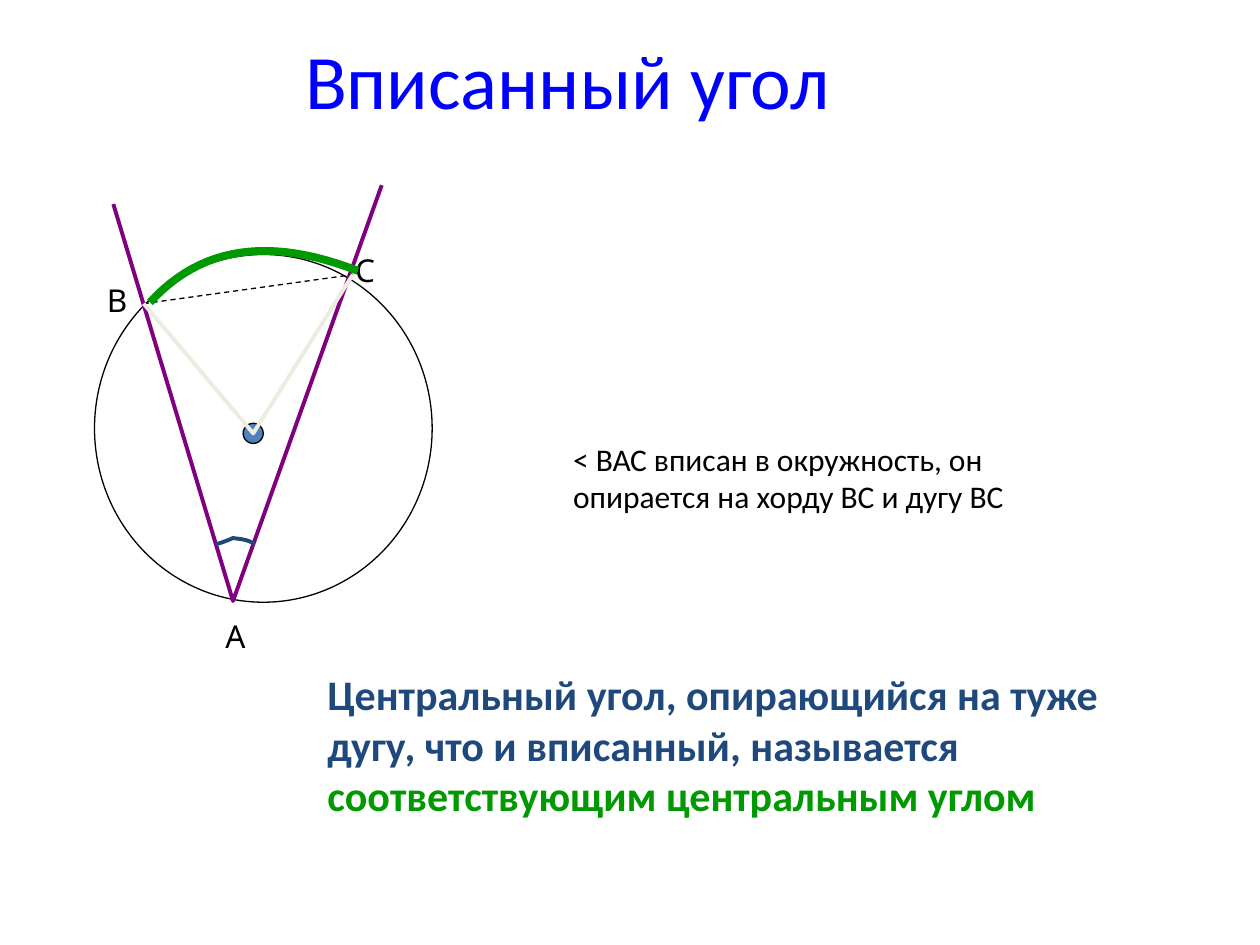
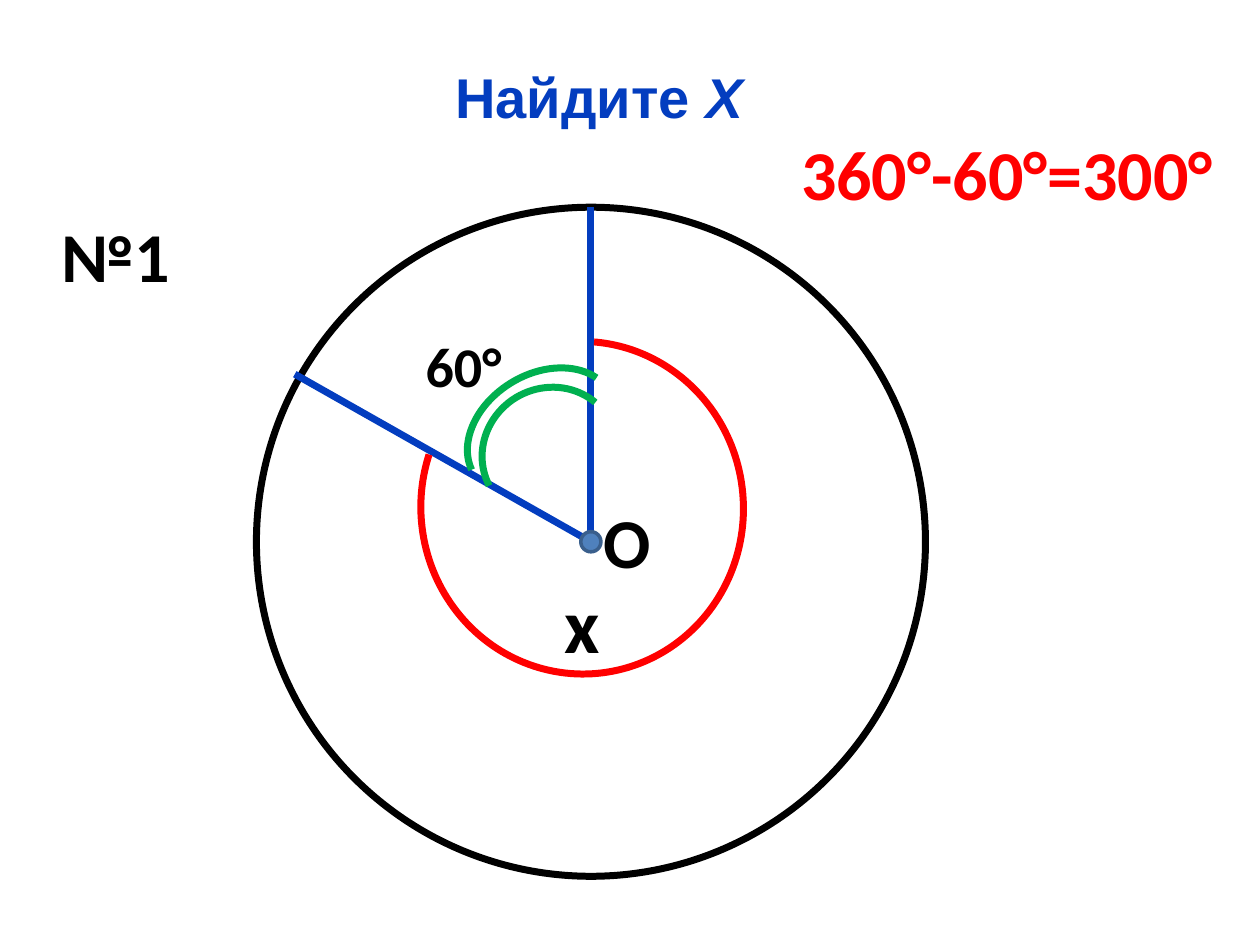
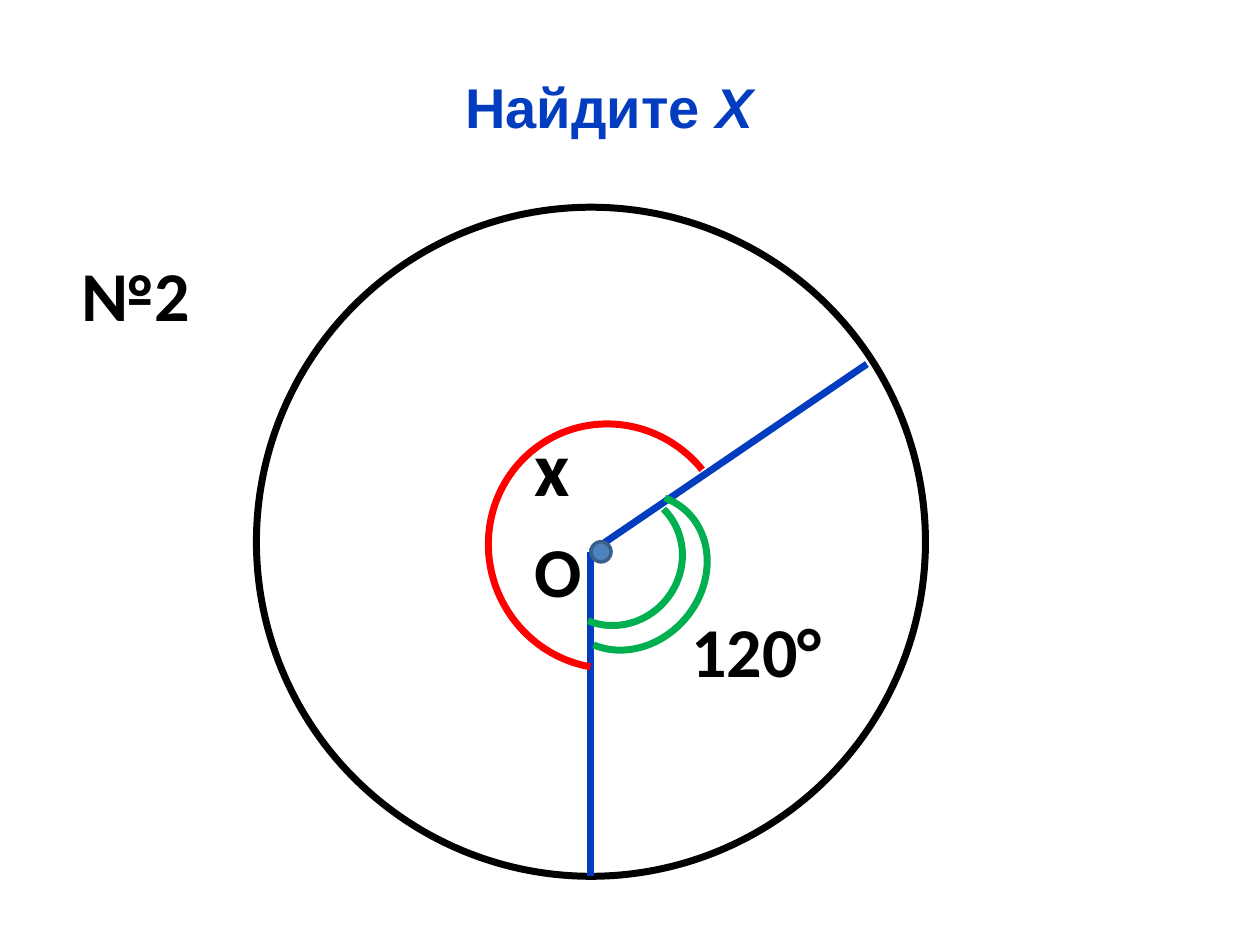
from lxml import etree
from pptx import Presentation
from pptx.dml.color import RGBColor
from pptx.enum.dml import MSO_LINE
from pptx.enum.shapes import MSO_CONNECTOR, MSO_SHAPE
from pptx.enum.text import MSO_ANCHOR, PP_ALIGN
from pptx.oxml.ns import qn
from pptx.util import Inches, Pt

OVAL, ARC = MSO_SHAPE.OVAL, MSO_SHAPE.ARC
STRAIGHT, DASH = MSO_CONNECTOR.STRAIGHT, MSO_LINE.DASH
MIDDLE, TOP = MSO_ANCHOR.MIDDLE, MSO_ANCHOR.TOP
CENTER, LEFT = PP_ALIGN.CENTER, PP_ALIGN.LEFT

# The slide is a grid of 100 columns by 75 rows of square cells.
COLS, ROWS, CELL = 100, 75, 0.1
BLACK, WHITE, RED, BLUE = "000000", "FFFFFF", "FF0000", "033DBF"
GREEN, LEAF, NAVY, STEEL = "00B050", "009900", "1F497D", "4F81BD"
EDGE, CREAM, PURPLE, TITLE = "3A5F8C", "EEECE1", "800080", "0000FF"
BODY, HEAD, HAND = "Calibri", "Arial", "Comic Neue"
THICK, MID, THIN = 4, 2.25, 0.75
DOT = 1.6


def rgb(code):
    return RGBColor.from_string(code)


def cells(*counts):
    return [Inches(count * CELL) for count in counts]


def shift(base, point):
    """Move a point given relative to base onto the slide's grid."""
    return base[0] + point[0], base[1] + point[1]


def stroke(item, color, width):
    item.line.color.rgb = rgb(color)
    item.line.width = Pt(width)


def shape(slide, kind, box, color, width, fill=None):
    item = slide.shapes.add_shape(kind, *cells(*box))
    item.shadow.inherit = False
    if fill:
        item.fill.solid()
        item.fill.fore_color.rgb = rgb(fill)
    else:
        item.fill.background()
    stroke(item, color, width)
    return item


def arc(slide, box, turn, start, end, color):
    """Draw an arc clockwise between two angles, then turn its box."""
    item = shape(slide, ARC, box, color, THICK)
    item.rotation = turn
    for i, angle in enumerate((start, end)):
        item.adjustments[i] = angle * 0.6


def line(slide, start, end, color, width):
    item = slide.shapes.add_connector(STRAIGHT, *cells(*start, *end))
    stroke(item, color, width)
    etree.SubElement(item._element.spPr, qn("a:effectLst"))
    return item


def trace(slide, base, points, color, width):
    """Draw an open outline through points relative to base."""
    spots = [cells(*shift(base, point)) for point in points]
    pen = slide.shapes.build_freeform(*spots[0])
    pen.add_line_segments(spots[1:], close=False)
    item = pen.convert_to_shape()
    item.shadow.inherit = False
    item.fill.background()
    stroke(item, color, width)


def curve(a, b, c, d, steps=24):
    """Sample a cubic curve with ends a, d and handles b, c."""
    points = []
    for i in range(steps + 1):
        t = i / steps
        u = 1 - t
        parts = (u ** 3, 3 * u * u * t, 3 * u * t * t, t ** 3)
        points.append([sum(k * p[axis] for k, p in zip(parts, (a, b, c, d)))
                       for axis in (0, 1)])
    return points


def text(slide, box, runs, size, font=BODY, bold=False, align=LEFT, anchor=TOP):
    """Add one paragraph; each run is (words, colour) or (words, colour, italic)."""
    frame = slide.shapes.add_textbox(*cells(*box)).text_frame
    frame.word_wrap = True
    frame.vertical_anchor = anchor
    para = frame.paragraphs[0]
    para.alignment = align
    for words, color, *slant in runs:
        run = para.add_run()
        run.text = words
        face = run.font
        face.name, face.size, face.bold = font, Pt(size), bold
        face.italic = bool(slant)
        face.color.rgb = rgb(color)


def title(slide, box, runs, size, font, bold):
    text(slide, box, runs, size, font, bold, CENTER, MIDDLE)


def figure(slide, box):
    """Inscribed angle with its chord, its arc and the central angle."""
    base = box[:2]
    shape(slide, OVAL, box, BLACK, THIN)
    trace(slide, base, [(1.5, -4), (11, 27.5), (22.8, -5.5)], PURPLE, MID)
    for name, spot, width in (("А", (9.4, 28.3), 7.1),
                              ("В", (0, 1.6), 5.5),
                              ("С", (19.7, -0.8), 6.3)):
        text(slide, (*shift(base, spot), width, 4), [(name, BLACK)], 18, HAND)
    mark = (curve((9.6, 23), (10.1, 22.9), (11, 22.5), (11, 22.5))
            + curve((11, 22.5), (11.6, 22.6), (12.2, 22.6), (12.7, 23))[1:])
    trace(slide, base, mark, NAVY, MID)
    left, right = (3.9, 3.9), (20.5, 1.6)
    chord = line(slide, shift(base, left), shift(base, right), BLACK, THIN)
    chord.line.dash_style = DASH
    shape(slide, OVAL, (*shift(base, (11.8, 13.4)), DOT, DOT), BLACK, THIN, STEEL)
    trace(slide, base, [left, (12.6, 14.2), right], CREAM, MID)
    bow = curve((4.4, 3.8), (8.5, -0.7), (14, -1.4), (20.9, 1.3))
    trace(slide, base, bow, LEAF, 4.5)


def theory(slide):
    title(slide, (7.5, 1.7, 75.1, 9.1), [("Вписанный угол", TITLE)], 44, BODY, False)
    figure(slide, (7.5, 20.2, 26.8, 27.6))
    text(slide, (44.5, 34.4, 42.5, 7),
         [("< ВАС вписан в окружность, он опирается на хорду ВС и дугу ВС", BLACK)], 18)
    text(slide, (25, 52.6, 68.3, 13.1),
         [("Центральный угол, опирающийся на туже дугу, что и вписанный, называется ", NAVY),
          ("соответствующим центральным углом", LEAF)], 24, bold=True)


def puzzle(slide, head, rays, arcs, notes, dot):
    """Circle task; all but the title is placed from the circle's centre."""
    title(slide, head, [("Найдите ", BLUE), ("Х", BLUE, True)], 32, HEAD, True)
    side, hub = 53.1, (46.9, 43)
    shape(slide, OVAL, (*shift(hub, (-side / 2, -side / 2)), side, side),
          BLACK, THICK, WHITE)
    start, *ends = rays
    for end in ends:
        line(slide, shift(hub, start), shift(hub, end), BLUE, THICK)
    for spot, size, turn, first, last, color in arcs:
        arc(slide, (*shift(hub, spot), *size), turn, first, last, color)
    for words, spot, size, points, color in notes:
        text(slide, (*shift(hub, spot), *size), [(words, color)], points, bold=True)
    shape(slide, OVAL, (*shift(hub, dot), DOT, DOT), EDGE, 2, STEEL)


def first(slide):
    puzzle(slide, (6.7, 3.6, 81.7, 8.1),
           rays=[(0, 0), (0, -26.6), (-23.5, -13.3)],
           arcs=[((-13.9, -15.5), (26.4, 25.6), 84.9, 189.2, 114.26, RED),
                 ((-10.2, -13.3), (12.6, 9.3), 328.6, 183.59, 346.3, GREEN),
                 ((-8.7, -12.2), (10.9, 10.4), 328.6, 183.59, 342.99, GREEN)],
           notes=[("№1", (-43, -26.6), (11.7, 7.7), 40, BLACK),
                  ("60°", (-14.1, -17.2), (9.4, 6.4), 32, BLACK),
                  ("x", (-3.1, 2.3), (4.7, 8.4), 44, BLACK),
                  ("360°-60°=300°", (15.7, -33.1), (37.4, 7.7), 40, RED),
                  ("О", (0, -3.9), (6.4, 7.7), 40, BLACK)],
           dot=(-0.8, -0.8))


def second(slide):
    puzzle(slide, (7.5, 5.2, 81.7, 6.5),
           rays=[(0, 0.8), (21.9, -14.1), (0, 26.5)],
           arcs=[((-3.4, -3.3), (13.1, 11.4), 130.7, 164.07, 346.3, GREEN),
                 ((-3.5, -3.9), (10.9, 10.4), 130.7, 183.59, 342.99, GREEN),
                 ((-8.3, -9.2), (19.5, 19.1), 243.6, 215.24, 76.94, RED)],
           notes=[("x", (-5.5, -10.2), (6.2, 8.4), 44, BLACK),
                  ("120°", (7, 4.7), (18, 7.7), 40, BLACK),
                  ("№2", (-41.4, -23.5), (12.5, 7.7), 40, BLACK),
                  ("О", (-5.5, -1.6), (6.4, 7.7), 40, BLACK)],
           dot=(0, 0))


def main():
    deck = Presentation()
    deck.slide_width, deck.slide_height = cells(COLS, ROWS)
    for build in (theory, first, second):
        build(deck.slides.add_slide(deck.slide_layouts[6]))
    deck.save("out.pptx")


if __name__ == "__main__":
    main()
